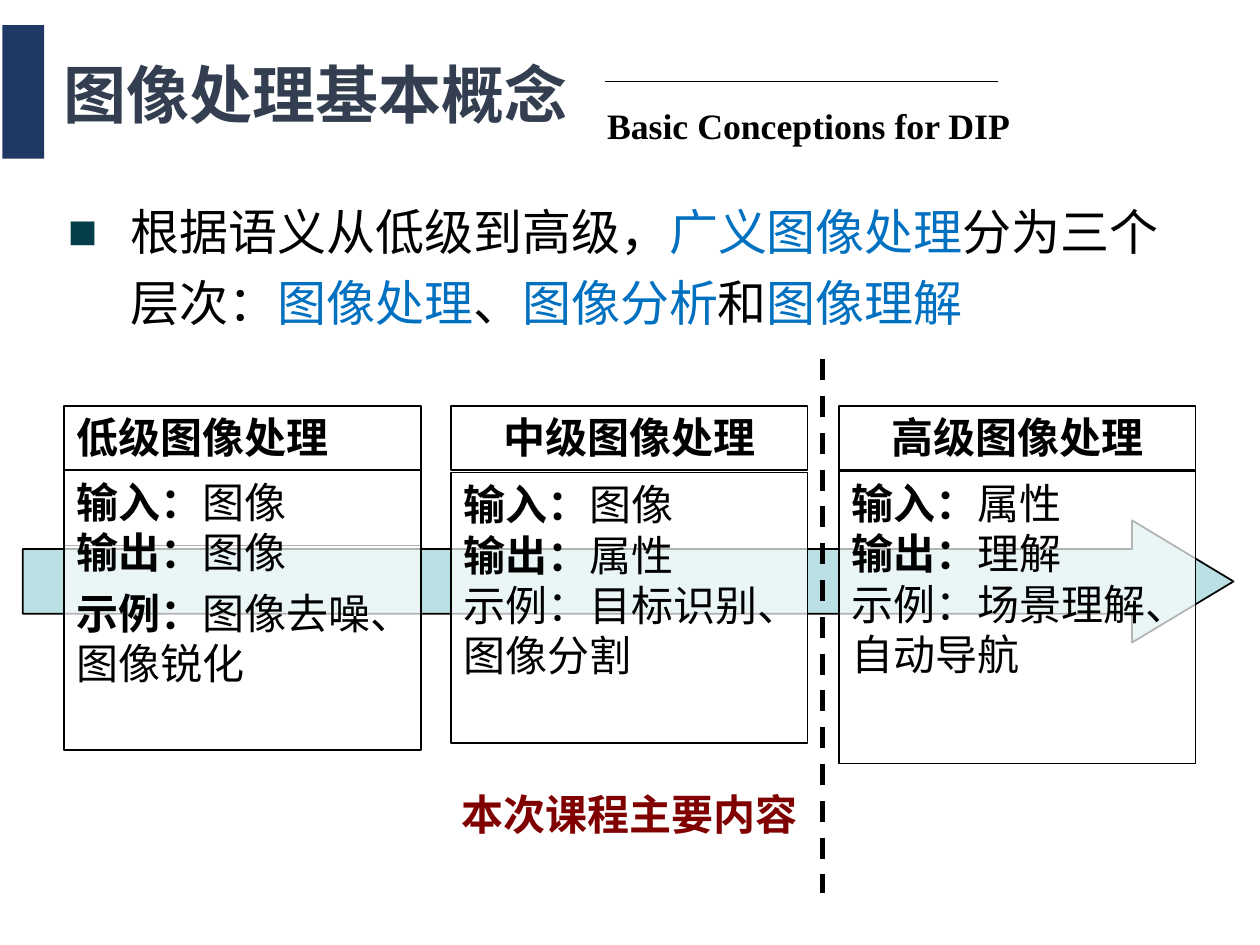
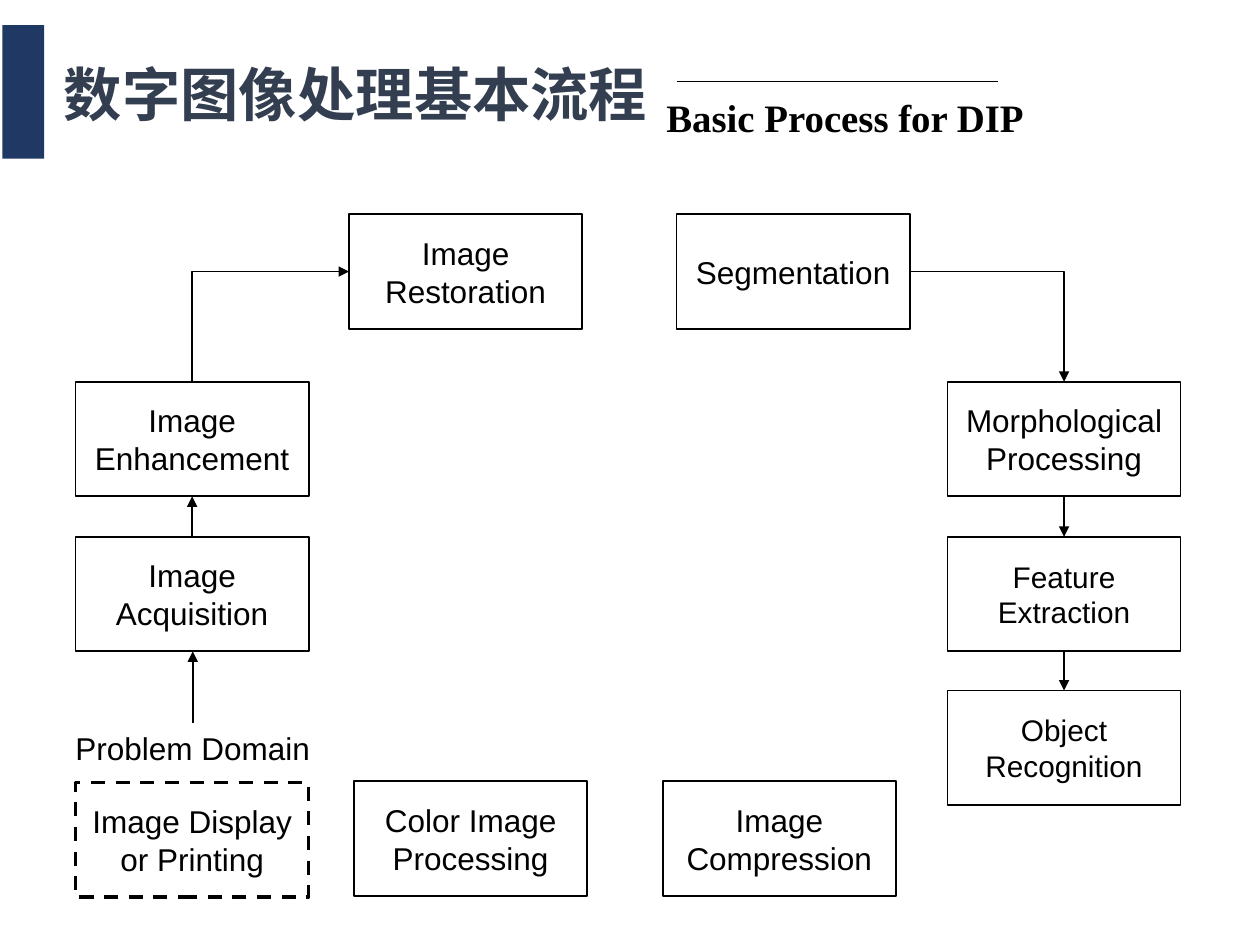
from lxml import etree
from pptx import Presentation
from pptx.dml.color import RGBColor
from pptx.enum.dml import MSO_LINE
from pptx.enum.shapes import MSO_CONNECTOR, MSO_SHAPE
from pptx.enum.text import MSO_ANCHOR, PP_ALIGN
from pptx.oxml.ns import qn
from pptx.util import Inches, Pt

BLACK = RGBColor(0x00, 0x00, 0x00)
WHITE = RGBColor(0xFF, 0xFF, 0xFF)
NAVY = RGBColor(0x20, 0x38, 0x64)
SLATE = RGBColor(0x33, 0x3F, 0x50)
BLUE = RGBColor(0x00, 0x70, 0xC0)
AQUA = RGBColor(0xBB, 0xE0, 0xE3)
MAROON = RGBColor(0x80, 0x00, 0x00)
BULLET_COLOR = "053E49"

CHINESE = "Noto Sans CJK SC"
SANS = "Arial"
SERIF = "Times New Roman"

RECTANGLE = MSO_SHAPE.RECTANGLE
RIGHT_ARROW = MSO_SHAPE.RIGHT_ARROW
STRAIGHT = MSO_CONNECTOR.STRAIGHT
ELBOW = MSO_CONNECTOR.ELBOW
DASH = MSO_LINE.DASH
LEFT, CENTER = PP_ALIGN.LEFT, PP_ALIGN.CENTER
TOP, MIDDLE = MSO_ANCHOR.TOP, MSO_ANCHOR.MIDDLE
TOP_SITE, LEFT_SITE, BOTTOM_SITE, RIGHT_SITE = range(4)


class Deck:
    def __init__(self):
        self.presentation = Presentation()
        self.presentation.slide_width = Inches(10)
        self.presentation.slide_height = Inches(7.5)
        self.slide = None

    def add_slide(self, title, title_size, subtitle, subtitle_size, subtitle_box, rule_left):
        self.slide = self.presentation.slides.add_slide(self.presentation.slide_layouts[6])
        self.box((0.02, 0.2, 0.33, 1.06), NAVY)
        self.text((0.41, 0.34, 4.94, 0.87), [[(title, True, SLATE)]], title_size,
                  anchor=MIDDLE, line_spacing=0.9)
        self.text(subtitle_box, [[(subtitle, True, BLACK)]], subtitle_size, SERIF,
                  anchor=MIDDLE, line_spacing=0.9)
        self.line((rule_left, 0.65), (7.92, 0.65), 0.5)

    def fill_text(self, shape, paragraphs, size, font=CHINESE, align=LEFT, anchor=TOP,
                  line_spacing=None, wrap=True):
        frame = shape.text_frame
        frame.word_wrap = wrap
        frame.vertical_anchor = anchor
        for index, runs in enumerate(paragraphs):
            paragraph = frame.paragraphs[0] if index == 0 else frame.add_paragraph()
            paragraph.alignment = align
            if line_spacing:
                paragraph.line_spacing = line_spacing
            for content, bold, color in runs:
                run = paragraph.add_run()
                run.text = content
                run.font.size = Pt(size)
                run.font.name = font
                run.font.bold = bold
                run.font.color.rgb = color
                if font == CHINESE:
                    east_asian = etree.SubElement(run.font._element, qn("a:ea"))
                    east_asian.set("typeface", font)
        return frame

    def text(self, bounds, paragraphs, size, font=CHINESE, **style):
        shape = self.slide.shapes.add_textbox(*map(Inches, bounds))
        return self.fill_text(shape, paragraphs, size, font, **style)

    def box(self, bounds, fill, line_width=None, dash=None, opacity=None, kind=RECTANGLE):
        shape = self.slide.shapes.add_shape(kind, *map(Inches, bounds))
        shape.shadow.inherit = False
        shape.fill.solid()
        shape.fill.fore_color.rgb = fill
        if opacity:
            color = shape.fill._xPr.find(qn("a:solidFill"))[0]
            etree.SubElement(color, qn("a:alpha")).set("val", str(opacity * 1000))
        if line_width:
            shape.line.color.rgb = BLACK
            shape.line.width = Pt(line_width)
            shape.line.dash_style = dash
        else:
            shape.line.fill.background()
        return shape

    def line(self, start, end, width=1, dash=None, arrow=None, kind=STRAIGHT):
        connector = self.slide.shapes.add_connector(kind, *map(Inches, (*start, *end)))
        connector.line.color.rgb = BLACK
        connector.line.width = Pt(width)
        if dash:
            connector.line.dash_style = dash
        if arrow:
            etree.SubElement(connector.line._get_or_add_ln(), qn(arrow)).set("type", "triangle")
        properties = connector._element.spPr
        etree.SubElement(properties, qn("a:effectLst"))
        if kind == ELBOW:
            properties.find(qn("a:prstGeom")).set("prst", "bentConnector2")
        return connector

    def link(self, source, source_site, target, target_site, arrow="a:tailEnd", kind=STRAIGHT):
        connector = self.line((0, 0), (1, 1), arrow=arrow, kind=kind)
        connector.begin_connect(source, source_site)
        connector.end_connect(target, target_site)

    def bullet(self, paragraph, indent):
        properties = paragraph._p.get_or_add_pPr()
        properties.set("marL", str(Inches(indent)))
        properties.set("indent", str(-Inches(indent)))
        color = etree.SubElement(properties, qn("a:buClr"))
        etree.SubElement(color, qn("a:srgbClr")).set("val", BULLET_COLOR)
        etree.SubElement(properties, qn("a:buFont")).set("typeface", SANS)
        etree.SubElement(properties, qn("a:buChar")).set("char", "■")

    def step(self, label, left, top, size=18, line_width=1, dash=None):
        shape = self.box((left, top, 1.85, 0.91), WHITE, line_width, dash)
        self.fill_text(shape, [[(label, False, BLACK)]], size, SANS, CENTER, MIDDLE)
        return shape


def build_concepts(deck):
    deck.add_slide("图像处理基本概念", 36, "Basic Conceptions for DIP", 20.4,
                   (4.72, 0.71, 3.53, 0.61), 4.8)
    statement = [("根据语义从低级到高级，", BLACK), ("广义图像处理", BLUE),
                 ("分为三个层次：", BLACK), ("图像处理", BLUE), ("、", BLACK),
                 ("图像分析", BLUE), ("和", BLACK), ("图像理解", BLUE)]
    frame = deck.text((0.44, 1.46, 9.15, 2.06),
                      [[(content, False, color) for content, color in statement]],
                      28, SANS, line_spacing=1.2)
    deck.bullet(frame.paragraphs[0], 0.5)

    arrow = deck.box((0.18, 4.13, 9.61, 0.97), AQUA, 1, kind=RIGHT_ARROW)
    arrow.adjustments[0] = 0.53
    arrow.adjustments[1] = 0.83

    levels = [
        ("低级图像处理", LEFT, 0.51, 1.11, 3.73, 2.22, "图像", "图像", True, "图像去噪、图像锐化"),
        ("中级图像处理", CENTER, 3.58, 0.51, 3.75, 2.15, "图像", "属性", False, "目标识别、图像分割"),
        ("高级图像处理", CENTER, 6.66, 0.51, 3.74, 2.32, "属性", "理解", False, "场景理解、自动导航"),
    ]
    for (name, align, left, name_height, top, height,
         source, result, example_bold, example) in levels:
        header = deck.box((left, 3.22, 2.83, name_height), WHITE, 1, opacity=70)
        deck.fill_text(header, [[(name, True, BLACK)]], 24, align=align)
        details = deck.box((left, top, 2.83, height), WHITE, 1, opacity=70)
        rows = [("输入：", True, source), ("输出：", True, result),
                ("示例：", example_bold, example)]
        frame = deck.fill_text(details, [[(label, bold, BLACK), (value, False, BLACK)]
                                         for label, bold, value in rows], 24)
        if example_bold:
            frame.paragraphs[2].space_before = Pt(6)

    deck.line((6.53, 2.85), (6.53, 7.09), 3, DASH)
    deck.text((2.96, 6.21, 4.07, 0.5), [[("本次课程主要内容", True, MAROON)]], 24, align=CENTER)


def build_process(deck):
    deck.add_slide("数字图像处理基本流程", 33.3, "Basic Process for DIP", 22.2,
                   (5.19, 0.59, 3.23, 0.73), 5.37)
    left_column, right_column = 0.6, 7.52
    first_row, second_row, third_row, fourth_row = 1.7, 3.03, 4.26, 5.48
    acquisition = deck.step("Image Acquisition", left_column, third_row)
    enhancement = deck.step("Image Enhancement", left_column, second_row)
    restoration = deck.step("Image Restoration", 2.77, first_row)
    segmentation = deck.step("Segmentation", 5.37, first_row)
    morphology = deck.step("Morphological Processing", right_column, second_row)
    extraction = deck.step("Feature Extraction", right_column, third_row, 17)
    recognition = deck.step("Object Recognition", right_column, fourth_row, 17)
    deck.step("Image Display or Printing", left_column, 6.21, line_width=2, dash=DASH)
    deck.step("Color Image Processing", 2.81, 6.2)
    deck.step("Image Compression", 5.26, 6.2)

    deck.text((0.5, 5.74, 2.06, 0.4), [[("Problem Domain", False, BLACK)]], 18, SANS, wrap=False)
    deck.line((1.53, 5.74), (1.53, 5.17), arrow="a:tailEnd")
    deck.link(acquisition, TOP_SITE, enhancement, BOTTOM_SITE)
    deck.link(restoration, LEFT_SITE, enhancement, TOP_SITE, "a:headEnd", ELBOW)
    deck.link(segmentation, RIGHT_SITE, morphology, TOP_SITE, kind=ELBOW)
    deck.link(morphology, BOTTOM_SITE, extraction, TOP_SITE)
    deck.link(extraction, BOTTOM_SITE, recognition, TOP_SITE)


def main():
    deck = Deck()
    build_concepts(deck)
    build_process(deck)
    deck.presentation.save("out.pptx")


if __name__ == "__main__":
    main()
